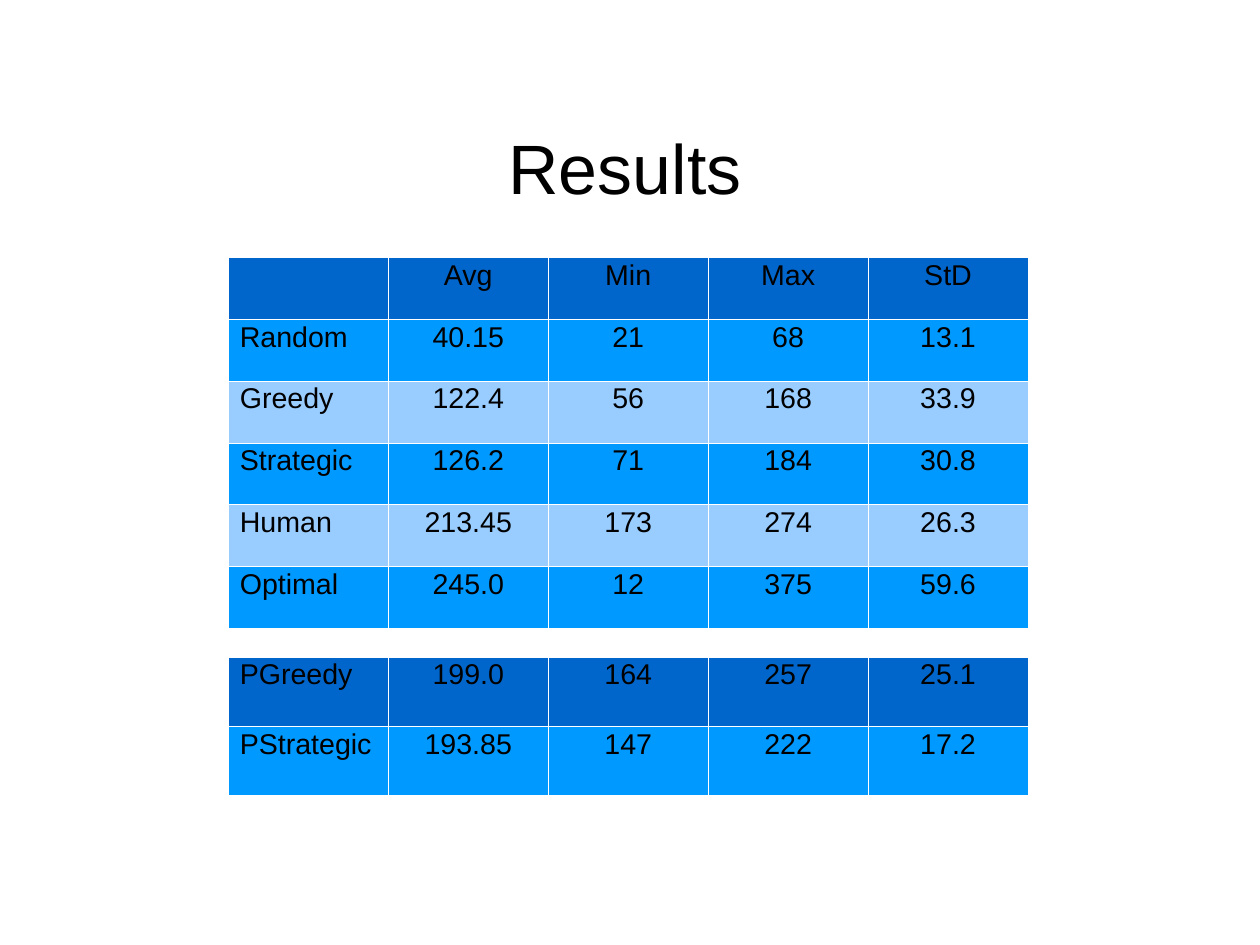
"""Build a slide titled Results with two tables of game scores."""
from lxml.etree import SubElement
from pptx import Presentation
from pptx.dml.color import RGBColor
from pptx.enum.text import MSO_ANCHOR as Anchor, PP_ALIGN as Align
from pptx.oxml.ns import qn
from pptx.util import Pt


def color(value):
    return RGBColor.from_string(value)


def style_paragraph(para, size, spacing, alignment):
    para.alignment = alignment
    para.line_spacing = spacing
    para.font.name = "Arial"
    para.font.size = Pt(size)
    para.font.color.rgb = color("000000")


HEADER_FILL = "0066CC"
BAND_FILLS = ["99CCFF", "0099FF"]
BORDER_COLOR = "FFFFFF"
BORDER_WIDTH = Pt(0.06)
COLUMN_WIDTH = 100.75

player_rows = [
    ["", "Avg", "Min", "Max", "StD"],
    ["Random", "40.15", "21", "68", "13.1"],
    ["Greedy", "122.4", "56", "168", "33.9"],
    ["Strategic", "126.2", "71", "184", "30.8"],
    ["Human", "213.45", "173", "274", "26.3"],
    ["Optimal", "245.0", "12", "375", "59.6"],
]
variant_rows = [
    ["PGreedy", "199.0", "164", "257", "25.1"],
    ["PStrategic", "193.85", "147", "222", "17.2"],
]

deck = Presentation()
deck.slide_width = Pt(793.75)
deck.slide_height = Pt(595.25)
page = deck.slides.add_slide(deck.slide_layouts[6])

title = page.shapes.add_textbox(Pt(65.2), Pt(60.1), Pt(657.2), Pt(92.2))
frame = title.text_frame
frame.word_wrap = True
frame.vertical_anchor = Anchor.MIDDLE
frame.margin_left = frame.margin_right = frame.margin_bottom = 0
frame.margin_top = Pt(2.9)
frame.text = "Results"
style_paragraph(frame.paragraphs[0], 44, 0.93, Align.CENTER)

for rows, top, row_height in [(player_rows, 162, 38.95), (variant_rows, 413.75, 43.6)]:
    column_count = len(rows[0])
    table = page.shapes.add_table(
        len(rows), column_count, Pt(143.9), Pt(top),
        Pt(COLUMN_WIDTH * column_count), Pt(row_height * len(rows))).table
    table.first_row = False
    table.horz_banding = False
    for column in table.columns:
        column.width = Pt(COLUMN_WIDTH)
    for row_index, values in enumerate(rows):
        table.rows[row_index].height = Pt(row_height)
        fill = BAND_FILLS[row_index % 2] if row_index else HEADER_FILL
        for column_index, value in enumerate(values):
            cell = table.cell(row_index, column_index)
            cell.text = value
            alignment = Align.CENTER if column_index else Align.LEFT
            style_paragraph(cell.text_frame.paragraphs[0], 18, 0.87, alignment)
            properties = cell._tc.get_or_add_tcPr()
            for side in ["lnL", "lnR", "lnT", "lnB"]:
                border = SubElement(properties, qn(f"a:{side}"), w=str(BORDER_WIDTH))
                border_fill = SubElement(border, qn("a:solidFill"))
                SubElement(border_fill, qn("a:srgbClr"), val=BORDER_COLOR)
            cell.fill.solid()
            cell.fill.fore_color.rgb = color(fill)

deck.save("out.pptx")
